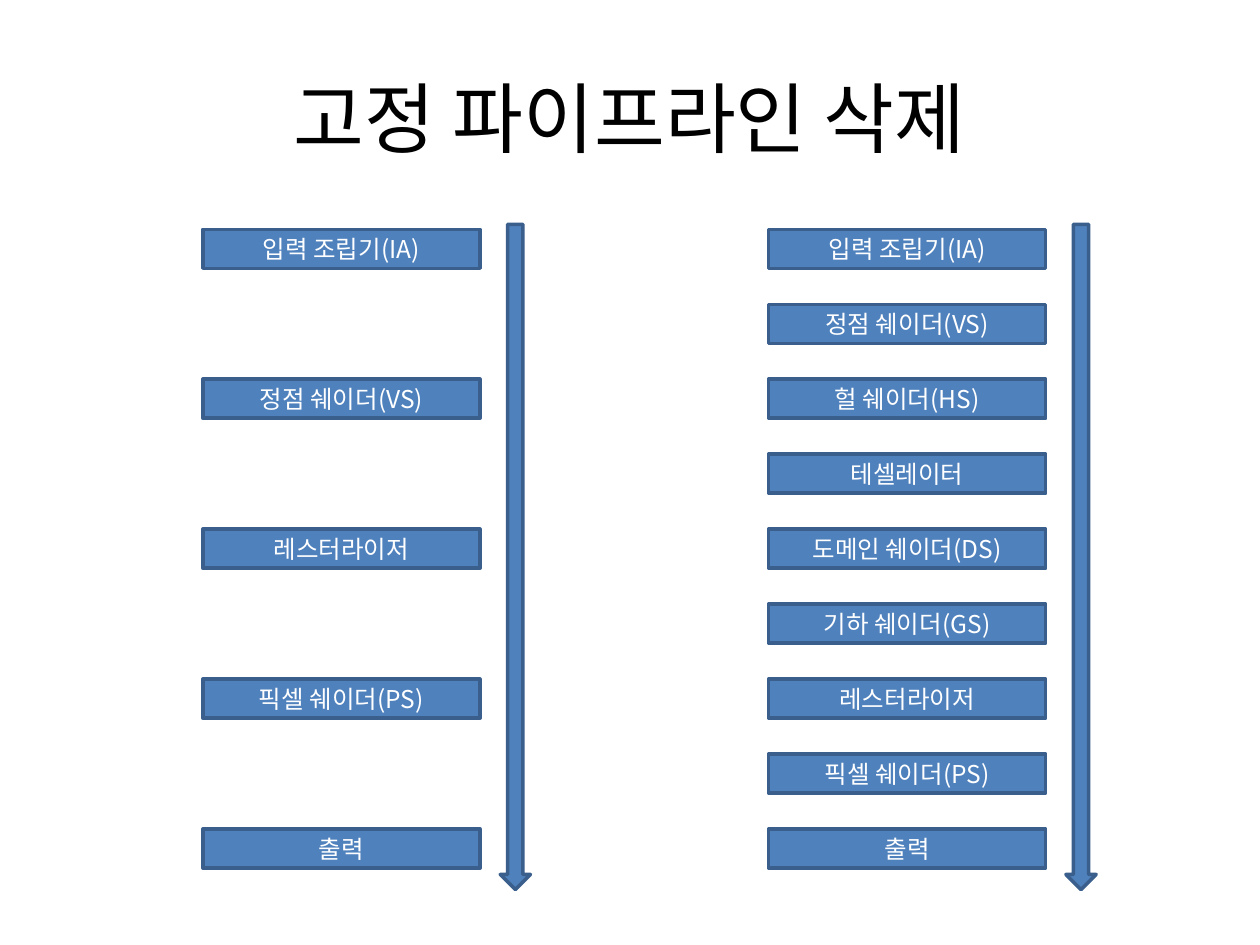
"""Build a slide comparing a short graphics pipeline with its extended form."""
from dataclasses import dataclass

from lxml import etree
from pptx import Presentation
from pptx.dml.color import RGBColor
from pptx.enum.shapes import MSO_SHAPE
from pptx.enum.text import MSO_ANCHOR, PP_ALIGN
from pptx.oxml.ns import qn
from pptx.shapes.autoshape import Shape
from pptx.slide import Slide
from pptx.text.text import TextFrame
from pptx.util import Inches, Pt

RECTANGLE = MSO_SHAPE.RECTANGLE
DOWN_ARROW = MSO_SHAPE.DOWN_ARROW
MIDDLE = MSO_ANCHOR.MIDDLE
CENTER = PP_ALIGN.CENTER

BLACK = RGBColor(0x00, 0x00, 0x00)
WHITE = RGBColor(0xFF, 0xFF, 0xFF)
BLUE = RGBColor(0x4F, 0x81, 0xBD)
DARK_BLUE = RGBColor(0x3A, 0x5F, 0x8C)
FONT = "Noto Sans CJK KR"

FIRST_TOP, LAST_TOP = 1.82, 6.58
STAGE_WIDTH, STAGE_HEIGHT = 2.2, 0.31
ARROW_OFFSET, ARROW_TOP = 2.36, 1.78
ARROW_WIDTH, ARROW_HEIGHT = 0.24, 5.28


@dataclass(frozen=True)
class Pipeline:
    left: float
    stages: tuple[str, ...]


PIPELINES = (
    Pipeline(6.1, (
        "입력 조립기(IA)", "정점 쉐이더(VS)", "헐 쉐이더(HS)",
        "테셀레이터", "도메인 쉐이더(DS)", "기하 쉐이더(GS)",
        "레스터라이저", "픽셀 쉐이더(PS)", "출력",
    )),
    Pipeline(1.61, (
        "입력 조립기(IA)", "정점 쉐이더(VS)", "레스터라이저",
        "픽셀 쉐이더(PS)", "출력",
    )),
)


def write_text(frame: TextFrame, text: str, size: int, color: RGBColor) -> None:
    """Fill a frame with one centred line in the slide font."""
    frame.text = text
    frame.word_wrap = True
    frame.vertical_anchor = MIDDLE
    line = frame.paragraphs[0]
    line.alignment = CENTER
    run = line.runs[0]
    for name, value in {"name": FONT, "size": Pt(size), "bold": False}.items():
        setattr(run.font, name, value)
    run.font.color.rgb = color
    east_asian = etree.SubElement(run.font._element, qn("a:ea"))
    east_asian.set("typeface", FONT)


def add_block(slide: Slide, kind: MSO_SHAPE, left: float, top: float,
              width: float, height: float) -> Shape:
    """Add an outlined blue shape."""
    block = slide.shapes.add_shape(
        kind, Inches(left), Inches(top), Inches(width), Inches(height))
    block.shadow.inherit = False
    block.fill.solid()
    block.fill.fore_color.rgb = BLUE
    block.line.color.rgb = DARK_BLUE
    block.line.width = Pt(2)
    return block


def add_stages(slide: Slide, pipeline: Pipeline) -> None:
    """Spread the stages of a pipeline evenly down its column."""
    pitch = (LAST_TOP - FIRST_TOP) / (len(pipeline.stages) - 1)
    for row, label in enumerate(pipeline.stages):
        stage = add_block(slide, RECTANGLE, pipeline.left,
                          FIRST_TOP + row * pitch, STAGE_WIDTH, STAGE_HEIGHT)
        write_text(stage.text_frame, label, 14, WHITE)


def main() -> None:
    """Assemble and save the slide."""
    deck = Presentation()
    deck.slide_width, deck.slide_height = Inches(10), Inches(7.5)
    slide = deck.slides.add_slide(deck.slide_layouts[5])

    title = slide.shapes.title
    title_box = {"left": 0.5, "top": 0.3, "width": 9, "height": 1.25}
    for name, value in title_box.items():
        setattr(title, name, Inches(value))
    write_text(title.text_frame, "고정 파이프라인 삭제", 44, BLACK)

    for pipeline in PIPELINES:
        add_stages(slide, pipeline)
    for pipeline in reversed(PIPELINES):
        add_block(slide, DOWN_ARROW, pipeline.left + ARROW_OFFSET, ARROW_TOP,
                  ARROW_WIDTH, ARROW_HEIGHT)

    deck.save("out.pptx")


if __name__ == "__main__":
    main()
